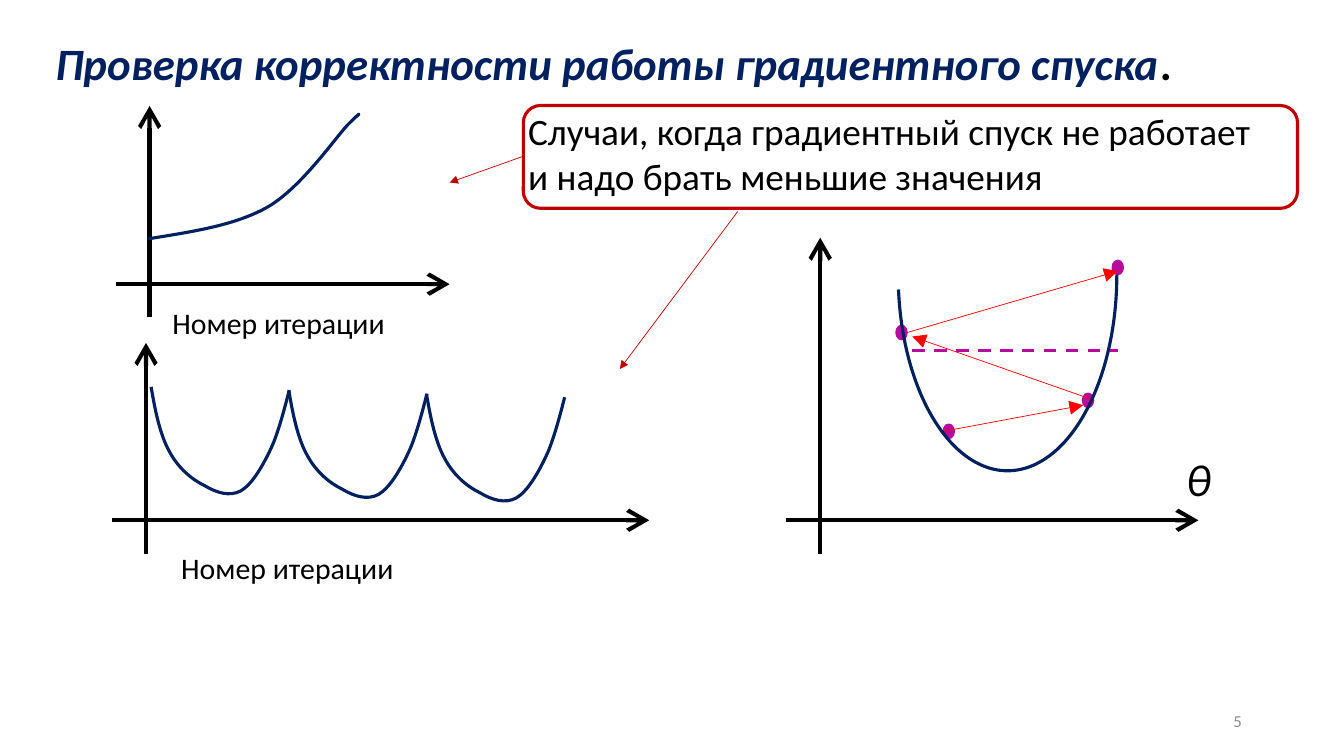
from dataclasses import dataclass

from lxml import etree
from pptx import Presentation
from pptx import util as u
from pptx.dml.color import RGBColor
from pptx.enum import dml, shapes, text
from pptx.oxml.ns import qn


@dataclass(frozen=True)
class Theme:
    """Colours, type sizes and line widths of the slide."""
    font: str = "Calibri"
    ink: str = "000000"
    navy: str = "002060"
    warning: str = "C00000"
    step: str = "FF0000"
    point: str = "B60C9E"
    muted: str = "8C8C8C"
    title: float = 32
    body: float = 26.67
    label: float = 21.33
    small: float = 12
    axis: float = 3
    curve: float = 2.25
    thin: float = 0.5


class Board:
    """Draws styled elements on the current slide."""

    def __init__(self, s, theme):
        """Keep the slide and its style."""
        self.s, self.t = s, theme

    def fill_text(self, sp, runs, size, align=None, spacing=None,
                  anchor=text.MSO_ANCHOR.TOP, wrap=True):
        """Write (text, colour, bold, italic) runs into a shape."""
        tf = sp.text_frame
        tf.word_wrap = wrap
        tf.auto_size = text.MSO_AUTO_SIZE.NONE
        tf.vertical_anchor = anchor
        p = tf.paragraphs[0]
        p.alignment = align
        if spacing:
            p.line_spacing = u.Pt(spacing)
        for words, color, bold, italic in runs:
            r = p.add_run()
            r.text = words
            r.font.name, r.font.size = self.t.font, u.Pt(size)
            r.font.bold, r.font.italic = bold, italic
            r.font.color.rgb = RGBColor.from_string(color)

    def title(self, box, runs):
        """Place and fill the title placeholder."""
        sp = self.s.shapes.title
        sp.left, sp.top, sp.width, sp.height = map(u.Cm, box)
        self.fill_text(sp, runs, self.t.title, text.PP_ALIGN.LEFT)

    def text(self, box, words, size, color=None, italic=False, **layout):
        """Add a text box with one run."""
        sp = self.s.shapes.add_textbox(*map(u.Cm, box))
        run = (words, color or self.t.ink, False, italic)
        self.fill_text(sp, [run], size, **layout)

    def stroke(self, sp, color, width):
        """Set the outline of a shape or connector."""
        sp.line.color.rgb = RGBColor.from_string(color)
        sp.line.width = u.Pt(width)

    def line(self, start, end, color, width, head=None, head_size="med", dashed=False):
        """Add a straight line, with an optional arrowhead at its end."""
        sp = self.s.shapes.add_connector(
            shapes.MSO_CONNECTOR.STRAIGHT, *map(u.Cm, (*start, *end)))
        self.stroke(sp, color, width)
        if dashed:
            sp.line.dash_style = dml.MSO_LINE.DASH
        props = sp._element.spPr
        if head:
            etree.SubElement(props.find(qn("a:ln")), qn("a:tailEnd"),
                             type=head, w=head_size, len=head_size)
        etree.SubElement(props, qn("a:effectLst"))

    def axes(self, x, bottom, top, y, left, right):
        """Add a vertical and a horizontal axis."""
        for start, end in (((x, bottom), (x, top)), ((left, y), (right, y))):
            self.line(start, end, self.t.ink, self.t.axis, "arrow", "lg")

    def shape(self, kind, box, color, width, fill=None):
        """Add a preset shape."""
        sp = self.s.shapes.add_shape(kind, *map(u.Cm, box))
        sp.shadow.inherit = False
        self.stroke(sp, color, width)
        if fill:
            sp.fill.solid()
            sp.fill.fore_color.rgb = RGBColor.from_string(fill)
        else:
            sp.fill.background()
        return sp

    def curve(self, origin, controls):
        """Add a cubic curve, three control points a segment, relative to its origin."""
        x0, y0 = origin
        builder = self.s.shapes.build_freeform(u.Cm(x0), u.Cm(y0))
        builder.add_line_segments(
            [(u.Cm(x0 + x), u.Cm(y0 + y)) for x, y in controls], close=False)
        sp = builder.convert_to_shape()
        sp.shadow.inherit = False
        sp.fill.background()
        self.stroke(sp, self.t.navy, self.t.curve)
        outline = next(sp._element.iter(qn("a:path")))
        corners = outline.findall(qn("a:lnTo"))
        for i in range(0, len(corners), 3):
            bend = etree.SubElement(outline, qn("a:cubicBezTo"))
            for corner in corners[i:i + 3]:
                bend.append(corner[0])
                outline.remove(corner)


GROWTH = [
    (1.1, -0.18), (2.19, -0.33), (3.03, -0.81),
    (3.86, -1.3), (4.68, -2.49), (5.03, -2.87),
    (5.41, -3.25), (5.34, -3.15), (5.24, -3.07),
]
VALLEY = [
    (0.1, 0.61), (0.23, 1.22), (0.46, 1.63),
    (0.69, 2.06), (1.04, 2.34), (1.35, 2.49),
    (1.65, 2.67), (1.98, 2.77), (2.26, 2.62),
    (2.54, 2.46), (2.82, 1.98), (3.02, 1.55),
    (3.23, 1.12), (3.48, 0.08), (3.48, 0.08),
]


def main():
    """Build the slide and save it."""
    prs = Presentation()
    prs.slide_width, prs.slide_height = u.Cm(33.87), u.Cm(19.05)
    t = Theme()
    b = Board(prs.slides.add_slide(prs.slide_layouts[5]), t)

    b.title((1.14, 0.78, 29.06, 1.63), [
        ("Проверка корректности работы градиентного спуска", t.navy, True, True),
        (".", t.ink, True, False)])
    b.text((13.06, 2.61, 19.35, 2.54),
           "Случаи, когда градиентный спуск не работает и надо брать меньшие значения",
           t.body)
    for left, top in ((3.43, 6.87), (3.65, 13.06)):
        b.text((left, top, 7.19, 1.65), "Номер итерации", t.label,
               align=text.PP_ALIGN.CENTER, spacing=44.8)
    b.text((23.93, 17.65, 7.62, 1.02), "5", t.small, t.muted,
           align=text.PP_ALIGN.RIGHT, anchor=text.MSO_ANCHOR.MIDDLE)

    b.axes(3.77, 8, 2.67, 7.16, 2.92, 11.33)
    b.axes(3.68, 13.95, 8.64, 13.11, 2.82, 16.36)
    b.axes(20.67, 13.95, 5.99, 13.11, 19.82, 30.2)

    b.curve((3.73, 6.02), GROWTH)
    for i in range(3):
        b.curve((3.81 + 3.47 * i, 9.75 + 0.09 * i), VALLEY)

    for left, top in ((22.58, 8.2), (28.03, 6.56), (23.77, 10.69), (27.28, 9.91)):
        b.shape(shapes.MSO_SHAPE.OVAL, (left, top, 0.28, 0.36), t.point, 1, t.point)
    b.line((22.99, 8.84), (28.17, 8.84), t.point, t.curve, dashed=True)
    for start, end in (((23.77, 10.87), (27.3, 10.21)),
                       ((27.56, 10.08), (22.99, 8.48)),
                       ((22.86, 8.38), (28.17, 6.83))):
        b.line(start, end, t.step, t.thin, "triangle", "lg")
    bowl = b.shape(shapes.MSO_SHAPE.ARC, (20.45, 4.17, 9.88, 5.51), t.navy, t.curve)
    bowl.rotation = 90
    bowl.adjustments[0], bowl.adjustments[1] = 162, 49.37

    b.shape(shapes.MSO_SHAPE.ROUNDED_RECTANGLE, (13.19, 2.66, 19.51, 2.59),
            t.warning, t.curve)
    for start, end in (((13.18, 3.94), (11.33, 4.6)), ((18.59, 5.33), (15.62, 9.3))):
        b.line(start, end, t.warning, t.thin, "triangle")
    b.text((29.64, 11.27, 1.12, 1.63), "θ", t.title, italic=True, wrap=False)

    prs.save("out.pptx")


if __name__ == "__main__":
    main()
